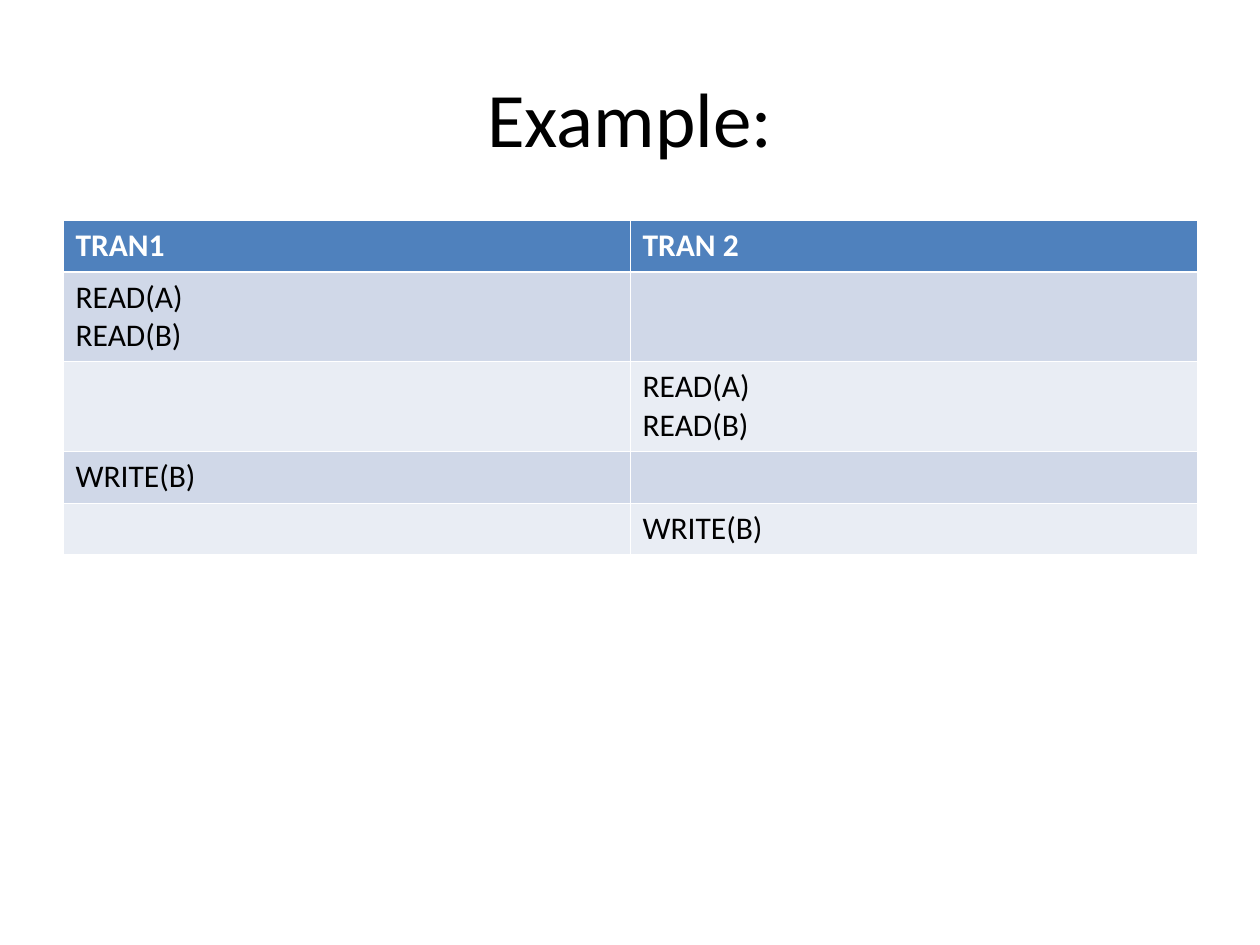
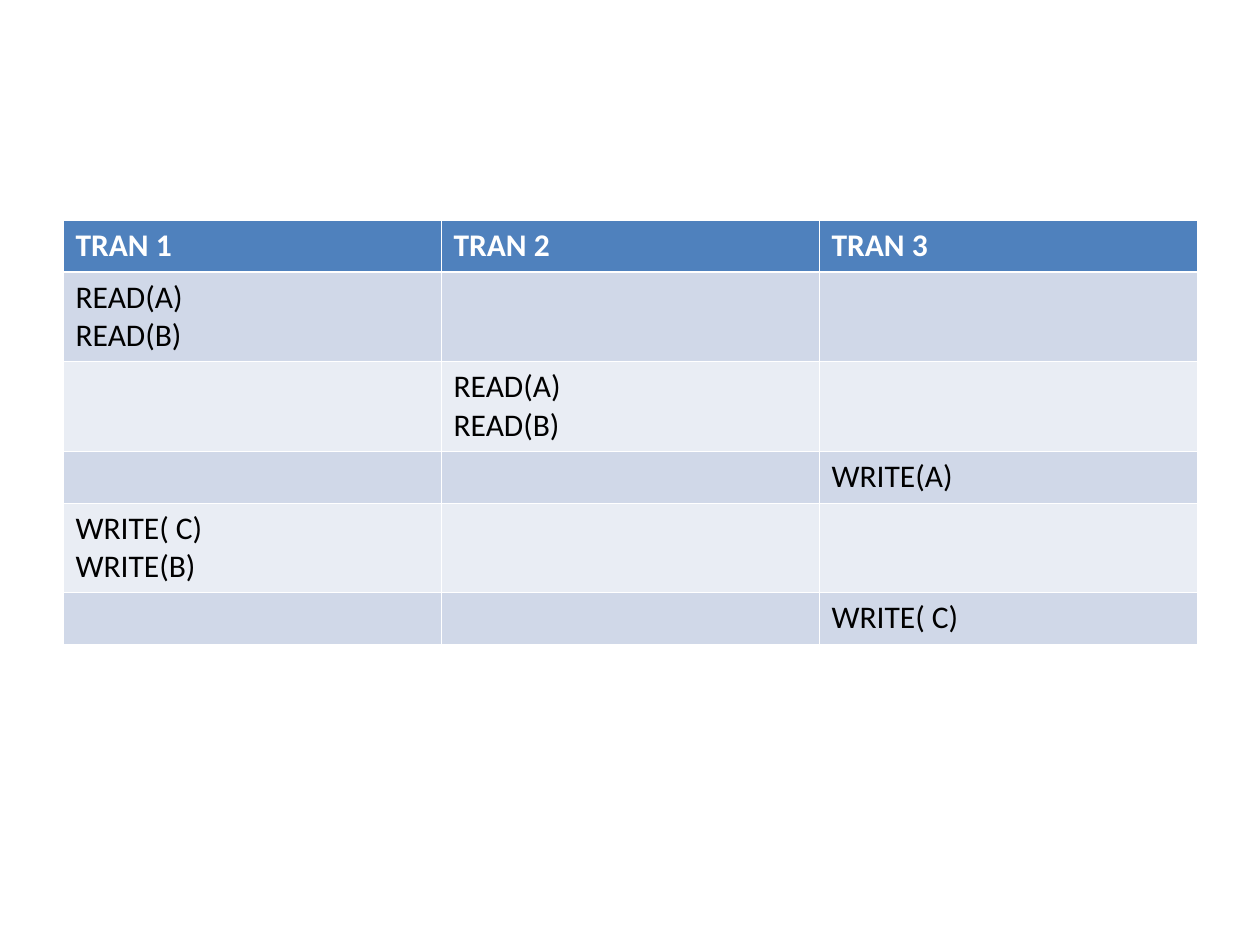
from lxml.etree import SubElement as Sub
from pptx import Presentation as Deck
from pptx.dml.color import RGBColor as Rgb
from pptx.enum.text import MSO_ANCHOR as Anchor, PP_ALIGN as Align
from pptx.oxml.ns import qn
from pptx.util import Inches, Pt

HUES = {"head": "4F81BD", "odd": "D0D8E8", "even": "E9EDF4",
        "white": "FFFFFF", "black": "000000"}
FACE = "Calibri"
LEFT, TOP, WIDTH = 0.5, 1.75, 9
LINE, PAD = 0.3, 0.11
THIN, THICK = 0.45, 1.47

FIRST = [
    ["TRAN1", "TRAN 2"],
    ["READ(A)\nREAD(B)", ""],
    ["", "READ(A)\nREAD(B)"],
    ["WRITE(B)", ""],
    ["", "WRITE(B)"],
]
SECOND = [
    ["TRAN 1", "TRAN 2", "TRAN 3"],
    ["READ(A)\nREAD(B)", "", ""],
    ["", "READ(A)\nREAD(B)", ""],
    ["", "", "WRITE(A)"],
    ["WRITE( C)\nWRITE(B)", "", ""],
    ["", "", "WRITE( C)"],
]


def hue(name):
    return Rgb.from_string(HUES[name])


def style(par, size, tint, bold=False):
    font = par.font
    font.name, font.size, font.bold = FACE, Pt(size), bold
    font.color.rgb = hue(tint)


def add_title(slide, text):
    box = slide.shapes.title
    box.left, box.top = Inches(LEFT), Inches(0.3)
    box.width, box.height = Inches(WIDTH), Inches(1.25)
    frame = box.text_frame
    frame.text = text
    frame.vertical_anchor = Anchor.MIDDLE
    par = frame.paragraphs[0]
    par.alignment = Align.CENTER
    style(par, 44, "black")


def edge(cell, side, width):
    props = cell._tc.get_or_add_tcPr()
    line = Sub(props, qn(f"a:ln{side}"), w=str(int(Pt(width))))
    fill = Sub(line, qn("a:solidFill"))
    Sub(fill, qn("a:srgbClr"), val=HUES["white"])


def fill_cell(cell, text, row):
    head = row == 0
    cell.text = text
    for par in cell.text_frame.paragraphs:
        style(par, 18, "white" if head else "black", head)
    edge(cell, "L", THIN)
    edge(cell, "R", THIN)
    edge(cell, "T", THICK if row == 1 else THIN)
    edge(cell, "B", THICK if head else THIN)
    cell.fill.solid()
    cell.fill.fore_color.rgb = hue("head" if head else ("even", "odd")[row % 2])


def add_grid(slide, rows):
    highs = [PAD + LINE * max(text.count("\n") + 1 for text in row) for row in rows]
    count = len(rows[0])
    frame = slide.shapes.add_table(len(rows), count, Inches(LEFT), Inches(TOP),
                                   Inches(WIDTH), Inches(sum(highs)))
    table = frame.table
    for col in table.columns:
        col.width = Inches(WIDTH / count)
    for r, row in enumerate(rows):
        table.rows[r].height = Inches(highs[r])
        for c, text in enumerate(row):
            fill_cell(table.cell(r, c), text, r)


def main():
    deck = Deck()
    deck.slide_width, deck.slide_height = Inches(10), Inches(7.5)
    plan = [("Example:", FIRST), (None, SECOND)]
    for title, rows in plan:
        slide = deck.slides.add_slide(deck.slide_layouts[5 if title else 6])
        if title:
            add_title(slide, title)
        add_grid(slide, rows)
    deck.save("out.pptx")


if __name__ == "__main__":
    main()
